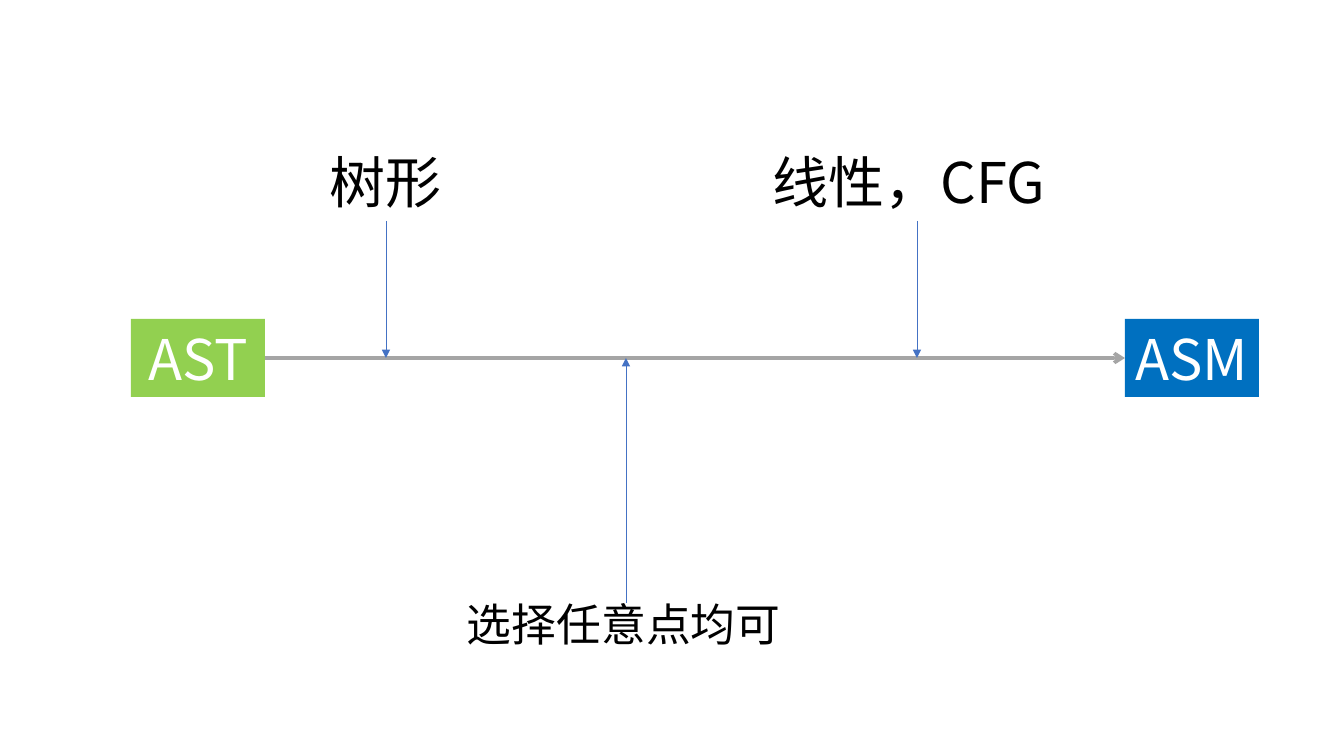
"""Build a slide showing the path from AST to ASM and the points along it."""
import pptx
import pptx.dml.color
import pptx.enum.shapes
import pptx.enum.text
import pptx.oxml
import pptx.oxml.ns
import pptx.util

FONT = "Noto Sans CJK SC"
SLIDE_SIZE = (1344, 756)
EMU_PER_PX = 12192000 / 1344
AXIS_Y = 358
STAGE_SIZE = (134, 78)
BLACK, WHITE, GREY, BLUE = "000000", "FFFFFF", "A5A5A5", "4472C4"

STAGES = [
    {"text": "ASM", "left": 1125, "fill": "0070C0"},
    {"text": "AST", "left": 131, "fill": "92D050"},
]
NOTES = [
    {"text": "树形", "box": (320, 143, 176, 78), "size": 40, "arrow": (386, 221)},
    {"text": "线性，CFG", "box": (763, 143, 362, 78), "size": 40, "arrow": (917, 221)},
    {"text": "选择任意点均可", "box": (457, 592, 417, 65), "size": 32, "arrow": (626, 603)},
]


def px(*lengths):
    return [pptx.util.Emu(round(length * EMU_PER_PX)) for length in lengths]


def color(code):
    return pptx.dml.color.RGBColor.from_string(code)


def write(frame, text, size, code, align):
    frame.text = text
    paragraph = frame.paragraphs[0]
    paragraph.alignment = align
    for run in paragraph.runs:
        run.font.size = pptx.util.Pt(size)
        run.font.name = FONT
        run.font.color.rgb = color(code)
        east_asian = pptx.oxml.ns.qn("a:ea")
        run.font._element.makeelement(east_asian)
        latin = run.font._element.find(pptx.oxml.ns.qn("a:latin"))
        latin.addnext(latin.makeelement(east_asian, {"typeface": FONT}))


def add_stage(slide, stage):
    top = AXIS_Y - STAGE_SIZE[1] / 2
    block = slide.shapes.add_shape(
        pptx.enum.shapes.MSO_SHAPE.RECTANGLE, *px(stage["left"], top, *STAGE_SIZE))
    block.shadow.inherit = False
    block.fill.solid()
    block.fill.fore_color.rgb = color(stage["fill"])
    block.line.fill.background()
    block.text_frame.word_wrap = False
    block.text_frame.vertical_anchor = pptx.enum.text.MSO_ANCHOR.MIDDLE
    write(block.text_frame, stage["text"], 40, WHITE, pptx.enum.text.PP_ALIGN.CENTER)


def add_arrow(slide, start, end, code, width, head):
    arrow = slide.shapes.add_connector(
        pptx.enum.shapes.MSO_CONNECTOR.STRAIGHT, *px(*start, *end))
    arrow.line.color.rgb = color(code)
    arrow.line.width = pptx.util.Pt(width)
    namespace = pptx.oxml.ns.nsdecls("a")
    arrow.line._get_or_add_ln().append(
        pptx.oxml.parse_xml(f'<a:tailEnd {namespace} type="{head}"/>'))
    arrow._element.spPr.append(pptx.oxml.parse_xml(f"<a:effectLst {namespace}/>"))


def add_note(slide, note):
    x, y = note["arrow"]
    add_arrow(slide, (x, y), (x, AXIS_Y), BLUE, 0.5, "triangle")
    label = slide.shapes.add_textbox(*px(*note["box"]))
    label.text_frame.word_wrap = True
    write(label.text_frame, note["text"], note["size"], BLACK, pptx.enum.text.PP_ALIGN.LEFT)


def main():
    deck = pptx.Presentation()
    deck.slide_width, deck.slide_height = px(*SLIDE_SIZE)
    slide = deck.slides.add_slide(deck.slide_layouts[6])
    for stage in STAGES:
        add_stage(slide, stage)
    target, source = STAGES
    add_arrow(slide, (source["left"] + STAGE_SIZE[0], AXIS_Y), (target["left"], AXIS_Y),
              GREY, 2.5, "arrow")
    for note in NOTES:
        add_note(slide, note)
    deck.save("out.pptx")


if __name__ == "__main__":
    main()
